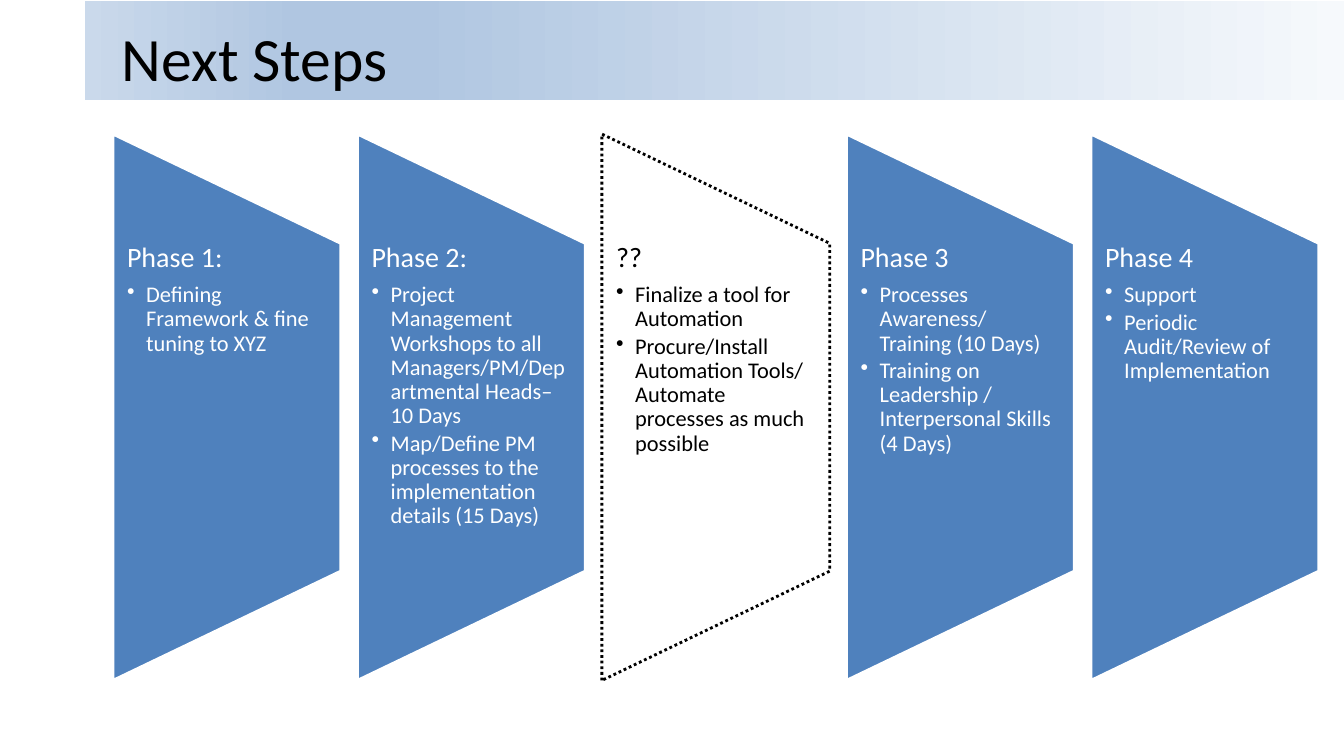
"""Build the Next Steps slide: a title band and a row of phase panels."""
from dataclasses import dataclass

from lxml.etree import SubElement
from pptx import Presentation
from pptx.dml.color import RGBColor
from pptx.enum.dml import MSO_LINE
from pptx.enum.shapes import MSO_SHAPE
from pptx.enum.text import MSO_ANCHOR, PP_ALIGN
from pptx.oxml.ns import qn
from pptx.util import Inches, Pt

TITLE = "Next Steps"
PHASES = [
    ("Phase 1:", ["Defining Framework & fine tuning to XYZ"], False),
    ("Phase 2:", [
        "Project Management Workshops to all Managers/PM/Departmental Heads– 10 Days",
        "Map/Define PM processes to the implementation details (15 Days)"], False),
    ("??", [
        "Finalize a tool for Automation",
        "Procure/Install Automation Tools/ Automate processes as much possible"], True),
    ("Phase 3", [
        "Processes Awareness/ Training (10 Days)",
        "Training on Leadership / Interpersonal Skills (4 Days)"], False),
    ("Phase 4", ["Support", "Periodic Audit/Review of Implementation"], False),
]


@dataclass(frozen=True)
class Theme:
    """Colours, font and type sizes."""
    font: str = "Calibri"
    blue: str = "4F81BD"
    white: str = "FFFFFF"
    black: str = "000000"
    band: tuple = ((0, "F6F9FC"), (74, "B0C6E1"), (83, "B0C6E1"), (100, "CAD9EB"))
    title: int = 44
    head: int = 20
    body: int = 16


LOOK = Theme()
WIDE, HIGH = 13.33, 7.5
LEFT, PITCH = 1.12, 2.425
PANEL_W, PANEL_H, MID = 2.26, 5.42, 4.04
TEXT_H = PANEL_H * 0.6
INSET, HANG = 0.14, 0.19


def rgb(code):
    """Turn a hex code into a colour."""
    return RGBColor.from_string(code)


def style(para, size, color):
    """Set the type of one paragraph's runs."""
    para.alignment = PP_ALIGN.LEFT
    for run in para.runs:
        run.font.name = LOOK.font
        run.font.size = Pt(size)
        run.font.color.rgb = rgb(color)


def add_box(slide, left, top, width, height):
    """Add a wrapping text box and return its frame."""
    box = slide.shapes.add_textbox(*map(Inches, (left, top, width, height)))
    box.text_frame.word_wrap = True
    return box.text_frame


def add_band(slide):
    """Draw the gradient band behind the title."""
    left = 0.84
    band = slide.shapes.add_shape(
        MSO_SHAPE.RECTANGLE, *map(Inches, (left, 0.01, WIDE - left, 0.98)))
    band.shadow.inherit = False
    band.line.fill.background()
    band.fill.gradient()
    band.fill.gradient_angle = 180
    stops = next(band.element.iter(qn("a:gsLst")))
    for stop in list(stops):
        stops.remove(stop)
    for share, code in LOOK.band:
        stop = SubElement(stops, qn("a:gs"), pos=str(share * 1000))
        SubElement(stop, qn("a:srgbClr"), val=code)


def add_title(slide):
    """Write the slide title."""
    frame = add_box(slide, 1.11, 0.07, 11.78, 0.99)
    frame.vertical_anchor = MSO_ANCHOR.MIDDLE
    frame.text = TITLE
    style(frame.paragraphs[0], LOOK.title, LOOK.black)


def add_panel(slide, left, is_open):
    """Draw one turned panel, filled or dotted."""
    panel = slide.shapes.add_shape(
        MSO_SHAPE.FLOWCHART_MANUAL_OPERATION,
        *map(Inches, (left + (PANEL_W - PANEL_H) / 2, MID - PANEL_W / 2,
                      PANEL_H, PANEL_W)))
    panel.rotation = 270
    panel.shadow.inherit = False
    panel.line.width = Pt(2)
    panel.line.color.rgb = rgb(LOOK.black if is_open else LOOK.white)
    if is_open:
        panel.fill.background()
        panel.line.dash_style = MSO_LINE.ROUND_DOT
    else:
        panel.fill.solid()
        panel.fill.fore_color.rgb = rgb(LOOK.blue)


def add_text(slide, left, head, items, color):
    """Write one panel's heading and bullets."""
    frame = add_box(slide, left, MID - TEXT_H / 2, PANEL_W, TEXT_H)
    frame.margin_left = frame.margin_right = Inches(INSET)
    frame.margin_top = frame.margin_bottom = 0
    frame.text = "\n".join([head, *items])
    for num, para in enumerate(frame.paragraphs):
        size, share = (LOOK.body, 0.15) if num else (LOOK.head, 0.35)
        if num:
            para.level = 1
            props = para._p.get_or_add_pPr()
            props.set("marL", str(Inches(HANG)))
            props.set("indent", str(-Inches(HANG)))
            SubElement(props, qn("a:buChar"), char="•")
        para.line_spacing = 0.9
        para.space_after = Pt(size * share)
        style(para, size, color)


def main():
    """Build and save the slide."""
    deck = Presentation()
    deck.slide_width, deck.slide_height = Inches(WIDE), Inches(HIGH)
    slide = deck.slides.add_slide(deck.slide_layouts[6])
    add_band(slide)
    add_title(slide)
    for col, (head, items, is_open) in enumerate(PHASES):
        left = LEFT + col * PITCH
        add_panel(slide, left, is_open)
        add_text(slide, left, head, items, LOOK.black if is_open else LOOK.white)
    deck.save("out.pptx")


if __name__ == "__main__":
    main()
